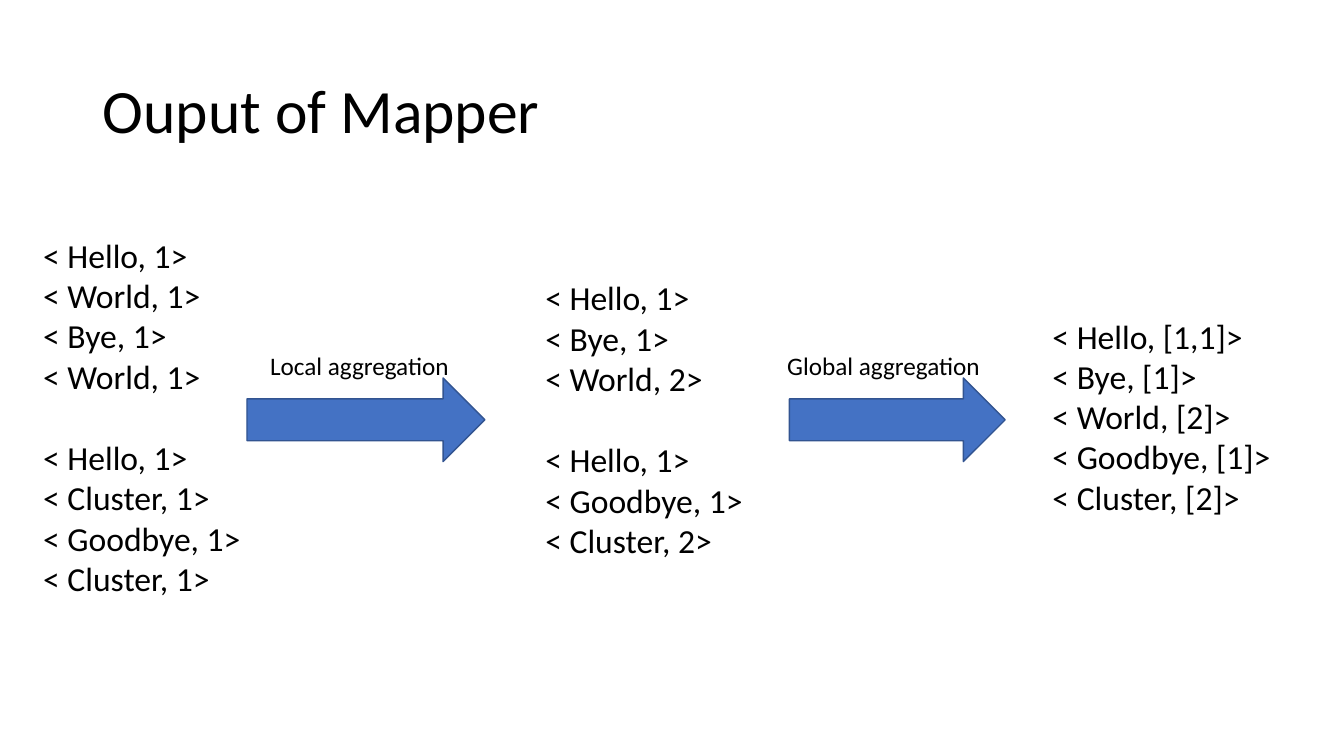
from dataclasses import dataclass

from pptx import Presentation
from pptx.dml.color import RGBColor as Color
from pptx.enum.shapes import MSO_SHAPE as Shape
from pptx.enum.text import MSO_ANCHOR as Anchor
from pptx.enum.text import MSO_AUTO_SIZE as Fit
from pptx.enum.text import PP_ALIGN as Align
from pptx.util import Inches, Pt


@dataclass(frozen=True)
class Theme:
    """Colours, font and type sizes of the slide."""
    font: str = "Calibri"
    ink: str = "000000"
    fill: str = "4472C4"
    edge: str = "325491"
    title: int = 44
    pair: int = 24
    label: int = 18
    gap: float = 29.3


def write(frame, groups, *, font, size, ink, gap=0, lead=None,
          wrap=True, anchor=Anchor.TOP, fit=Fit.NONE):
    """Write groups of lines, with a gap above each later group."""
    frame.word_wrap = wrap
    frame.auto_size = fit
    frame.vertical_anchor = anchor
    para = frame.paragraphs[0]
    for row, group in enumerate(groups):
        for col, line in enumerate(group):
            if row or col:
                para = frame.add_paragraph()
            para.alignment = Align.LEFT
            para.line_spacing = lead
            if row and not col:
                para.space_before = Pt(gap)
            run = para.add_run()
            run.text = line
            run.font.name = font
            run.font.size = Pt(size)
            run.font.color.rgb = Color.from_string(ink)


class Page:
    """Holds the theme and the current slide."""

    def __init__(self, deck, theme):
        """Add a title-only slide to the deck."""
        self.theme = theme
        self.slide = deck.slides.add_slide(deck.slide_layouts[5])

    def title(self, text, *box):
        """Place and fill the title."""
        head = self.slide.shapes.title
        head.left, head.top, head.width, head.height = map(Inches, box)
        write(head.text_frame, [[text]], font=self.theme.font,
              size=self.theme.title, ink=self.theme.ink, lead=0.9,
              anchor=Anchor.MIDDLE)

    def text(self, groups, *box, size, wrap=True):
        """Add a text box of one or more groups of lines."""
        item = self.slide.shapes.add_textbox(*map(Inches, box))
        write(item.text_frame, groups, font=self.theme.font, size=size,
              ink=self.theme.ink, gap=self.theme.gap, wrap=wrap,
              fit=Fit.SHAPE_TO_FIT_TEXT)

    def pairs(self, groups, *box):
        """Add a list of key and value pairs."""
        lines = [[f"< {key}, {value}>" for key, value in group]
                 for group in groups]
        self.text(lines, *box, size=self.theme.pair)

    def arrow(self, *box):
        """Add a block arrow that points right."""
        item = self.slide.shapes.add_shape(Shape.RIGHT_ARROW,
                                           *map(Inches, box))
        item.shadow.inherit = False
        item.fill.solid()
        item.fill.fore_color.rgb = Color.from_string(self.theme.fill)
        item.line.color.rgb = Color.from_string(self.theme.edge)
        item.line.width = Pt(1)

    def step(self, text, left, width, start, span):
        """Add an arrow with its label above."""
        self.arrow(left, 3.75, width, 0.83)
        self.text([[text]], start, 3.43, span, 0.4,
                  size=self.theme.label, wrap=False)


def main():
    """Build the slide and save it."""
    deck = Presentation()
    deck.slide_width, deck.slide_height = Inches(13.33), Inches(7.5)
    page = Page(deck, Theme())
    page.title("Ouput of Mapper", 0.92, 0.4, 11.5, 1.45)

    mapped = [
        [("Hello", 1), ("World", 1), ("Bye", 1), ("World", 1)],
        [("Hello", 1), ("Cluster", 1), ("Goodbye", 1), ("Cluster", 1)],
    ]
    local = [
        [("Hello", 1), ("Bye", 1), ("World", 2)],
        [("Hello", 1), ("Goodbye", 1), ("Cluster", 2)],
    ]
    total = [[("Hello", "[1,1]"), ("Bye", "[1]"), ("World", "[2]"),
              ("Goodbye", "[1]"), ("Cluster", "[2]")]]

    page.pairs(mapped, 0.33, 2.28, 2.23, 3.74)
    page.pairs(local, 5.31, 2.7, 2.51, 2.93)
    page.step("Local aggregation", 2.45, 2.36, 2.58, 2)
    page.step("Global aggregation", 7.83, 2.14, 7.71, 2.14)
    page.pairs(total, 10.34, 3.08, 2.51, 2.12)
    deck.save("out.pptx")


main()
